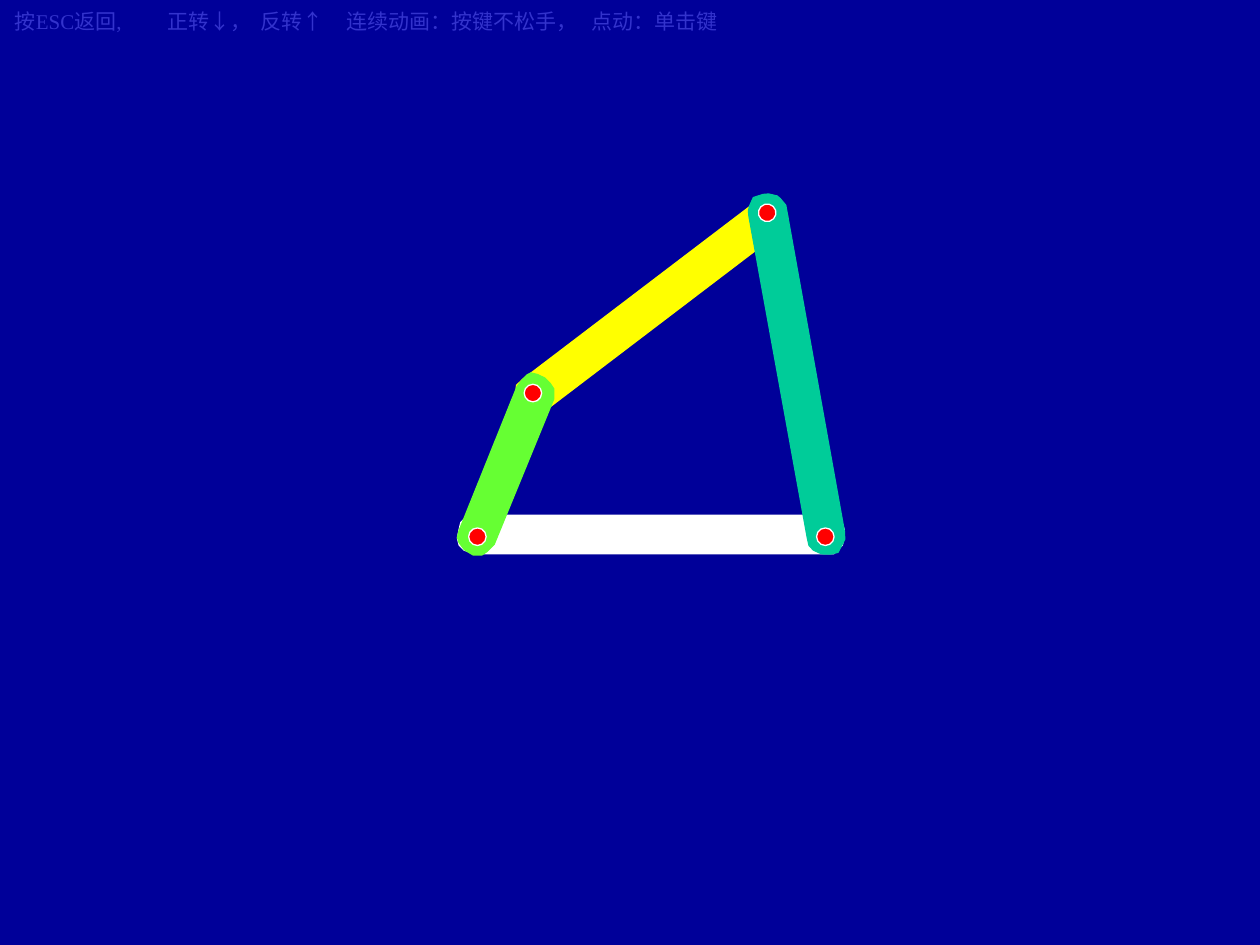
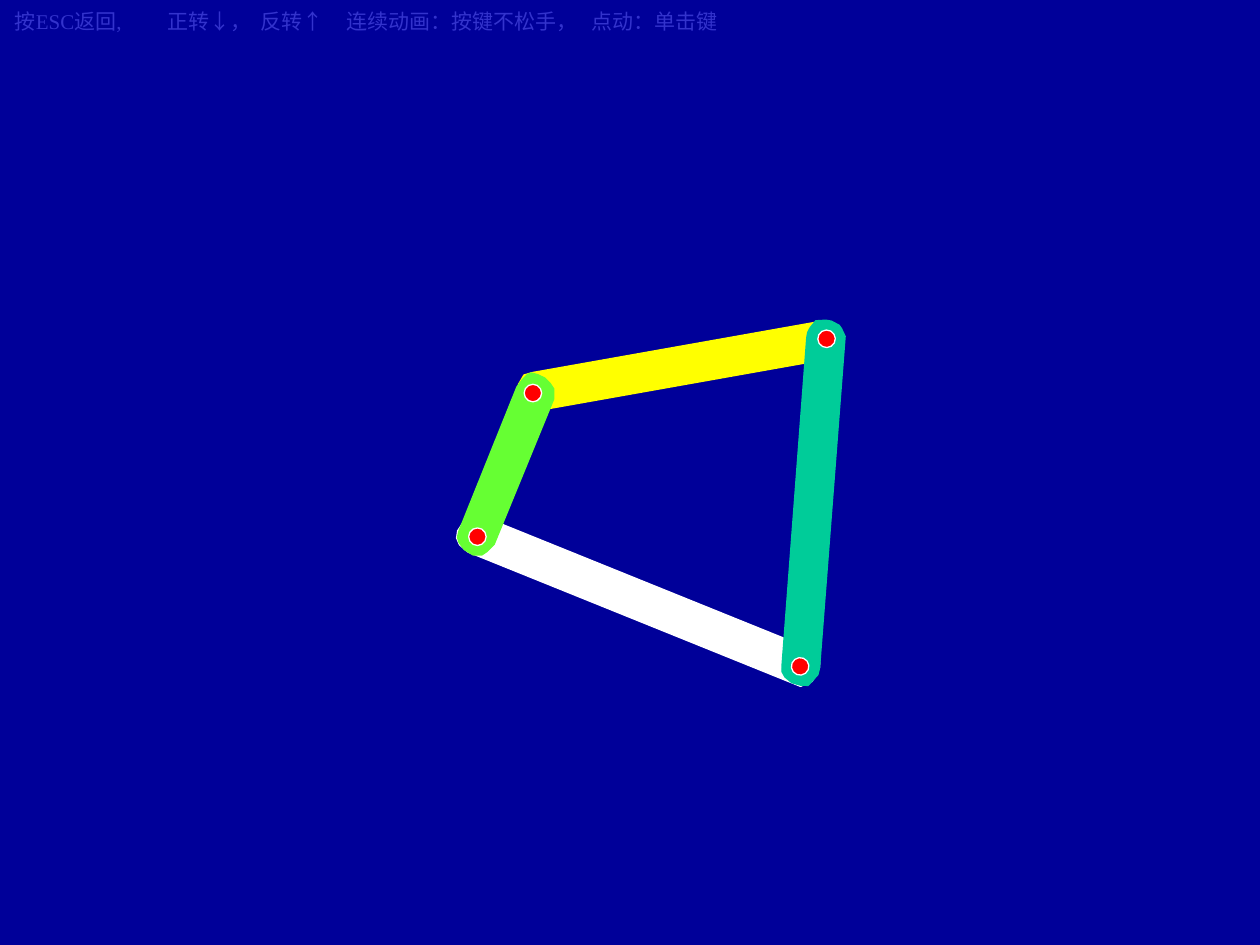
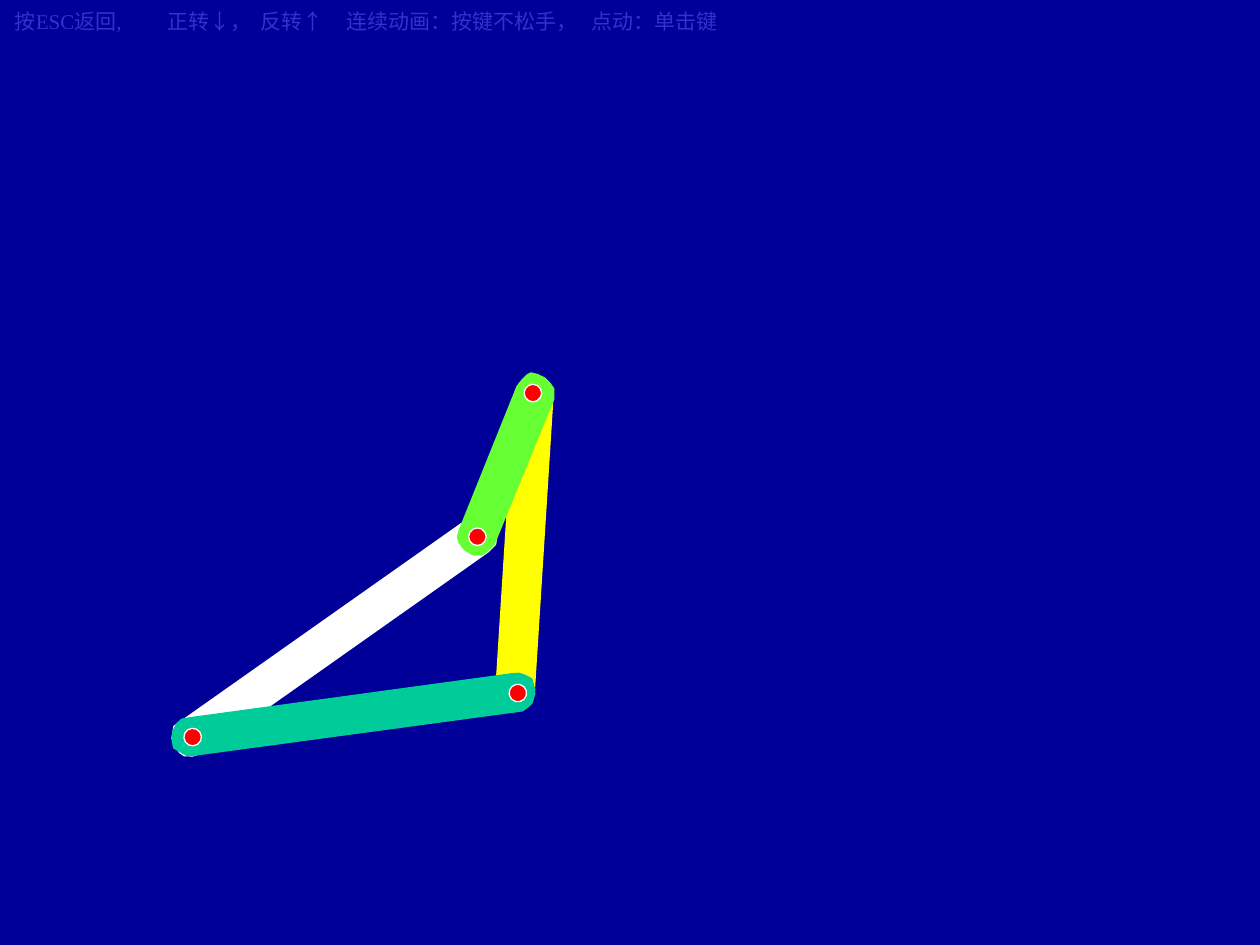
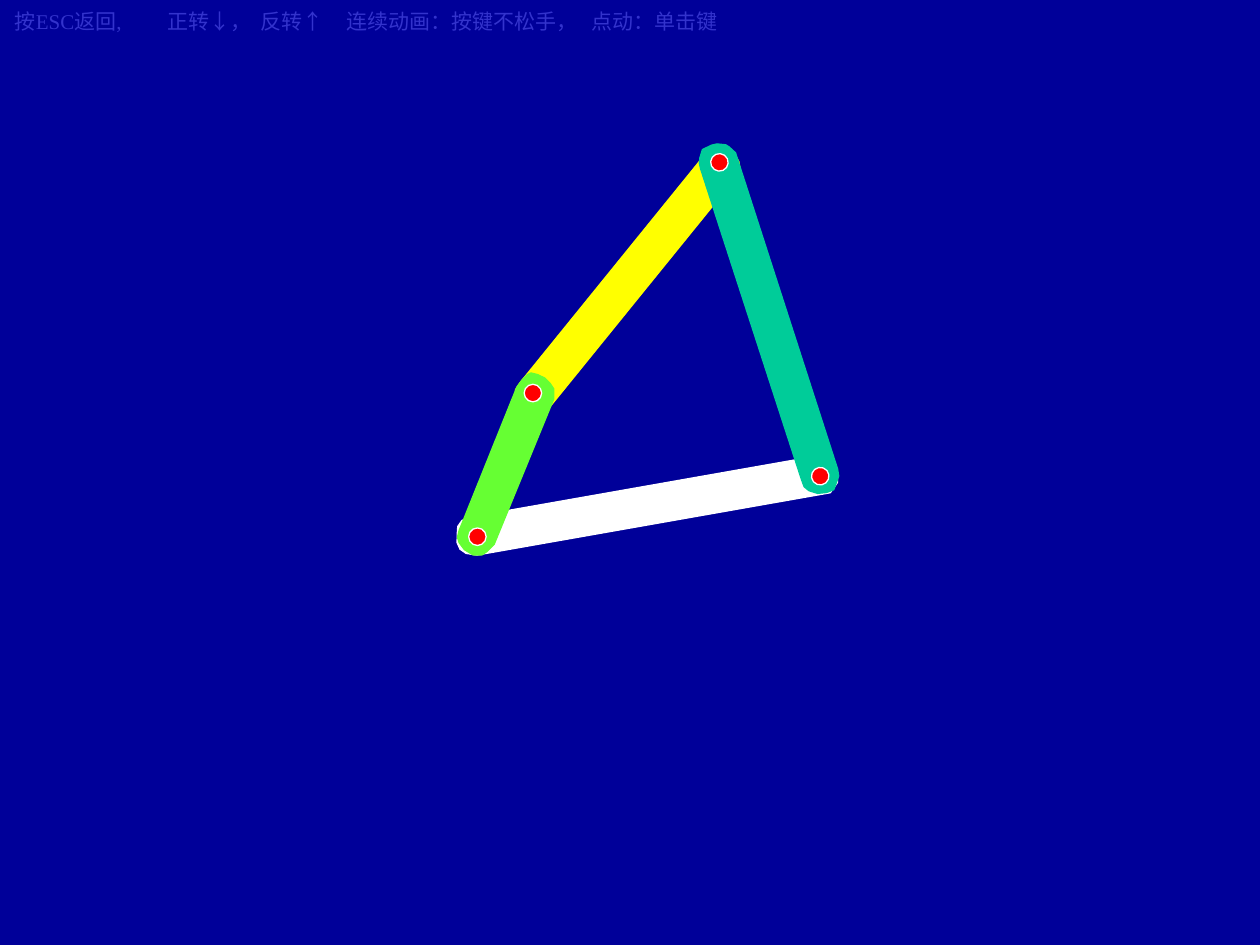
from dataclasses import dataclass

from lxml.etree import SubElement
from pptx import Presentation
from pptx.dml.color import RGBColor
from pptx.enum.shapes import MSO_SHAPE
from pptx.enum.text import MSO_AUTO_SIZE
from pptx.oxml.ns import qn
from pptx.util import Pt

COLORS = {
    "back": "000099",
    "hint": "3333CC",
    "frame": "FFFFFF",
    "rod": "FFFF00",
    "rocker": "00CC99",
    "crank": "66FF33",
    "pin": "FF0000",
    "rim": "FFFFFF",
}
FONT = "Times New Roman"
PIN = 10
HINTS = ["按ESC返回,", "正转↓，", "反转↑", "连续动画：按键不松手，", "点动：单击键"]
TABS = [87.4, 140.5, 189.7, 329.6]

BARS = {
    "frame": [
        (10.8, 0), (209.5, 0), (213.1, 1.4), (216, 2.2), (219.6, 5), (221, 7.9),
        (221, 12.2), (219.6, 16.6), (218.2, 19.4), (214.6, 21.6), (211, 22.5),
        (10.1, 22.5), (4.3, 20.2), (0.7, 16.6), (0, 13), (0.7, 7.9), (2.2, 4.3),
        (5, 1.4),
    ],
    "rod": [
        (5, 87.1), (149.8, 0.7), (155.5, 0), (158.4, 0.7), (162.7, 3.6),
        (164.9, 6.5), (166.3, 11.5), (164.9, 17.3), (161.3, 20.2), (15.8, 105.8),
        (12.2, 107.3), (8.6, 106.6), (4.3, 105.1), (0.7, 100.1), (0, 95.8),
        (0.7, 90),
    ],
    "rocker": [
        (75.6, 186.5), (0.7, 15.1), (0, 12.2), (0, 8.6), (1.4, 4.3), (5.8, 0.7),
        (9.4, 0), (13.7, 0), (15.8, 1.4), (20.2, 4.3), (96.5, 177.8),
        (97.2, 182.2), (96.5, 185.8), (95, 190.1), (90.7, 192.2), (86.4, 193),
        (80.6, 191.5), (77.8, 190.1),
    ],
    "crank": [
        (0.7, 90), (33.8, 7.9), (36.7, 3.6), (39.6, 1.4), (42.5, 0), (46.1, 0.7),
        (49.7, 2.9), (53.3, 5.8), (54.7, 9.4), (55.4, 15.1), (20.9, 97.9),
        (17.3, 102.2), (14.4, 103.7), (8.6, 103.7), (3.6, 100.8), (1.4, 97.2),
        (0, 93.6),
    ],
}


@dataclass(frozen=True)
class Place:
    left: float
    top: float
    turn: float = 0


@dataclass(frozen=True)
class Pose:
    frame: Place
    rod: Place
    rocker: Place
    upper: Place
    lower: Place


CRANK = Place(261.4, 213.1)
CRANK_PINS = [Place(267.8, 301.7), Place(299.5, 219.6)]
POSES = [
    Pose(Place(261.4, 294.5), Place(289.4, 121, 353.4), Place(406.8, 117.4, 13.4),
         Place(433.4, 116.6, 13.4), Place(466.6, 301.7)),
    Pose(Place(254.2, 331.9, 22), Place(306, 155.5, 20.6), Place(416.2, 190.8, 28),
         Place(467.3, 188.6, 28), Place(452.2, 375.8, 22)),
    Pose(Place(80.6, 352.8, 144.8), Place(216.7, 256.3, 124.3), Place(153.4, 311.8, 105.9),
         Place(290.9, 391, 105.9), Place(105.1, 416.2, 144.8)),
    Pose(Place(259.2, 277.9, 350), Place(275.8, 106.6, 339.7), Place(391, 85.7, 5.7),
         Place(406.1, 87.8, 5.7), Place(463.7, 267.1, 350)),
]


def color(name: str) -> RGBColor:
    return RGBColor.from_string(COLORS[name])


def paint(shape, fill: str, line: str, turn: float) -> None:
    shape.shadow.inherit = False
    shape.fill.solid()
    shape.fill.fore_color.rgb = color(fill)
    shape.line.color.rgb = color(line)
    shape.line.width = Pt(0.75)
    shape.rotation = turn


def add_bar(shapes, name: str, place: Place) -> None:
    first, *rest = BARS[name]
    pen = shapes.build_freeform(*first, scale=float(Pt(1)))
    pen.add_line_segments(rest, close=True)
    bar = pen.convert_to_shape(Pt(place.left), Pt(place.top))
    paint(bar, name, name, place.turn)


def add_pin(shapes, place: Place) -> None:
    pin = shapes.add_shape(MSO_SHAPE.OVAL, Pt(place.left), Pt(place.top), Pt(PIN), Pt(PIN))
    paint(pin, "pin", "rim", place.turn)


def add_crank(shapes) -> None:
    group = shapes.add_group_shape()
    add_bar(group.shapes, "crank", CRANK)
    for place in CRANK_PINS:
        add_pin(group.shapes, place)


def add_text(shapes, text: str, *, left: float, top: float, width: float, height: float,
             size: float, ink: str, before: float, tabs: list[float]) -> None:
    box = shapes.add_textbox(Pt(left), Pt(top), Pt(width), Pt(height))
    frame = box.text_frame
    frame.word_wrap = True
    frame.auto_size = MSO_AUTO_SIZE.SHAPE_TO_FIT_TEXT
    para = frame.paragraphs[0]
    para.space_before = Pt(before)
    stops = SubElement(para._p.get_or_add_pPr(), qn("a:tabLst"))
    for stop in tabs:
        SubElement(stops, qn("a:tab"), pos=str(Pt(stop)), algn="l")
    run = para.add_run()
    run.text = text
    run.font.name = FONT
    run.font.size = Pt(size)
    run.font.color.rgb = color(ink)


def add_pose(deck, pose: Pose) -> None:
    slide = deck.slides.add_slide(deck.slide_layouts[6])
    slide.background.fill.solid()
    slide.background.fill.fore_color.rgb = color("back")
    shapes = slide.shapes
    add_bar(shapes, "frame", pose.frame)
    add_bar(shapes, "rod", pose.rod)
    add_bar(shapes, "rocker", pose.rocker)
    add_pin(shapes, pose.upper)
    add_pin(shapes, pose.lower)
    add_crank(shapes)
    add_text(shapes, "\t".join(HINTS), left=1.4, top=1.4, width=467.3, height=21.6,
             size=12, ink="hint", before=7.5, tabs=TABS)


def main() -> None:
    deck = Presentation()
    deck.slide_width = Pt(720)
    deck.slide_height = Pt(540)
    for pose in POSES:
        add_pose(deck, pose)
    deck.save("out.pptx")


if __name__ == "__main__":
    main()
